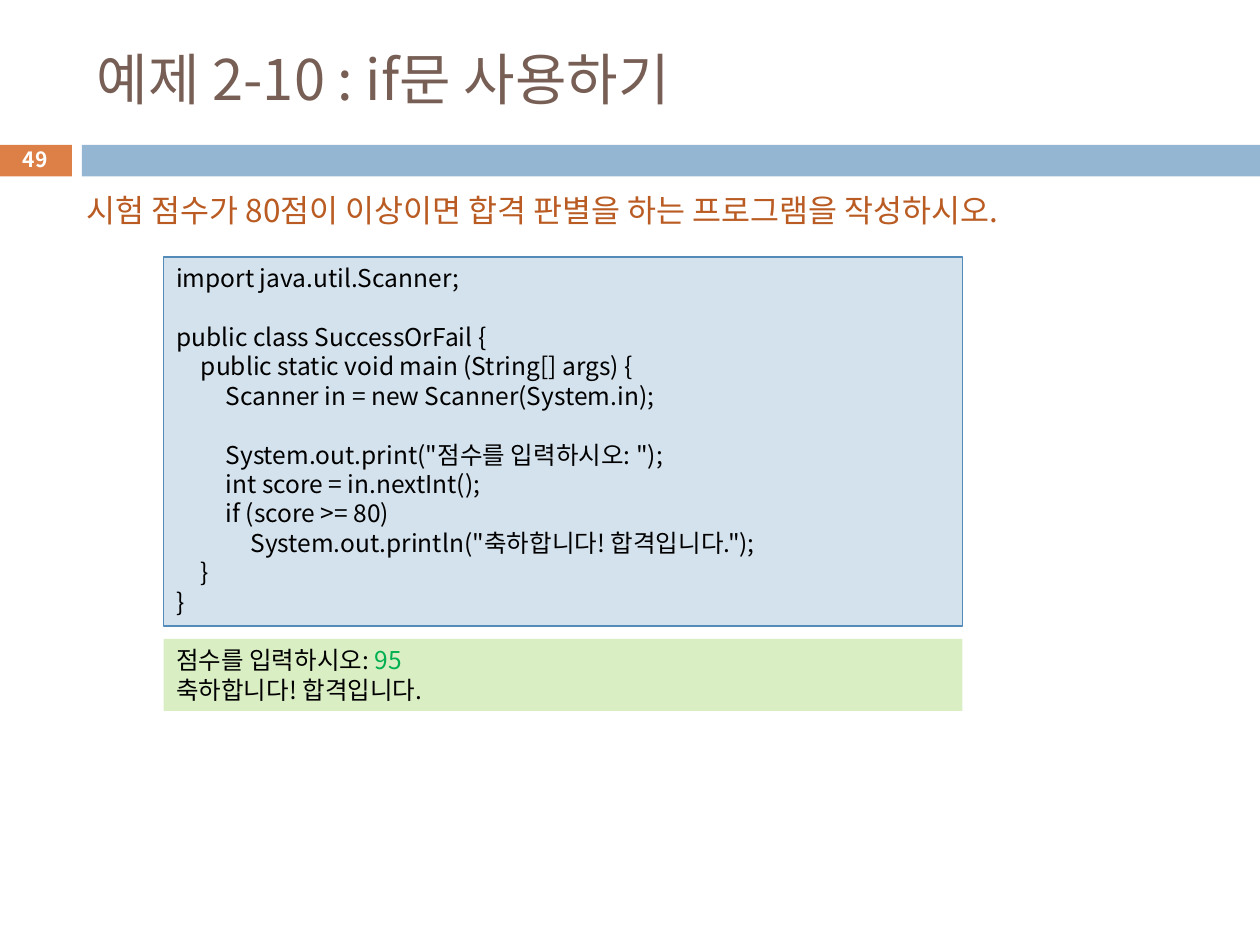
"""Build the slide for example 2-10, using an if statement."""
import pptx
import pptx.util
import pptx.dml.color
import pptx.enum.shapes
import pptx.enum.text
import pptx.oxml.ns
from lxml import etree

Cm, Pt = pptx.util.Cm, pptx.util.Pt
ALIGN = pptx.enum.text.PP_ALIGN
ANCHOR = pptx.enum.text.MSO_ANCHOR
FONT = "Noto Sans CJK KR"
COLORS = {
    "orange": "DD8047", "blue": "94B6D2", "title": "775F55", "task": "B95B22",
    "code": "D4E2ED", "border": "558BB8", "output": "DAEEC4",
    "black": "000000", "input": "00B050", "white": "FFFFFF",
}
TITLE = "예제 2-10 : if문 사용하기"
TASK = "시험 점수가 80점이 이상이면 합격 판별을 하는 프로그램을 작성하시오."
PAGE_NUMBER = "49"
CODE = [
    "import java.util.Scanner;",
    "",
    "public class SuccessOrFail {",
    "\tpublic static void main (String[] args) {",
    "\t\tScanner in = new Scanner(System.in);",
    "",
    '\t\tSystem.out.print("점수를 입력하시오: ");',
    "\t\tint score = in.nextInt();",
    "\t\tif (score >= 80)",
    '\t\t\tSystem.out.println("축하합니다! 합격입니다.");',
    "\t}",
    "}",
]
OUTPUT = [
    [("점수를 입력하시오: ", "black"), ("95", "input")],
    [("축하합니다! 합격입니다.", "black")],
]
CODE_SIZE = 14
LINE = Pt(CODE_SIZE * 1.2)
TAB = Cm(0.5)

deck = pptx.Presentation()
deck.slide_width, deck.slide_height = Cm(25.4), Cm(19.05)
page = deck.slides.add_slide(deck.slide_layouts[6])


def color(name):
    return pptx.dml.color.RGBColor.from_string(COLORS[name])


def add_panel(left, top, width, height, fill, border=None):
    panel = page.shapes.add_shape(
        pptx.enum.shapes.MSO_SHAPE.RECTANGLE, Cm(left), Cm(top), Cm(width), Cm(height))
    panel.shadow.inherit = False
    panel.fill.solid()
    panel.fill.fore_color.rgb = color(fill)
    if border:
        panel.line.color.rgb = color(border)
        panel.line.width = Pt(0.75)
    else:
        panel.line.fill.background()
    return panel


def write(box, lines, size, anchor=ANCHOR.TOP, align=ALIGN.LEFT, bold=False, wrap=True):
    frame = box.text_frame
    frame.word_wrap = wrap
    frame.vertical_anchor = anchor
    paras = [frame.paragraphs[0]] + [frame.add_paragraph() for _ in lines[1:]]
    for para, spans in zip(paras, lines):
        para.alignment = align
        for text, ink in spans:
            span = para.add_run()
            span.text = text
            span.font.size, span.font.name, span.font.bold = Pt(size), FONT, bold
            span.font.color.rgb = color(ink)
            east_asian = etree.SubElement(
                span.font._element, pptx.oxml.ns.qn("a:ea"))
            east_asian.set("typeface", FONT)
    return paras


def add_text(left, top, width, height, text, ink, size, **options):
    box = page.shapes.add_textbox(Cm(left), Cm(top), Cm(width), Cm(height))
    write(box, [[(text, ink)]], size, **options)


def set_tabs(para, count):
    tabs = etree.SubElement(para._p.get_or_add_pPr(), pptx.oxml.ns.qn("a:tabLst"))
    for stop in range(1, count + 1):
        tab = etree.SubElement(tabs, pptx.oxml.ns.qn("a:tab"))
        tab.set("pos", str(TAB * stop))
        tab.set("algn", "l")


add_panel(-0.03, 2.92, 1.48, 0.64, "orange")
add_panel(1.65, 2.92, 23.75, 0.64, "blue")
add_text(1.7, 0.64, 22.66, 1.88, TITLE, "title", 32, anchor=ANCHOR.MIDDLE)

code_panel = add_panel(3.3, 5.18, 16.1, 7.44, "code", "border")
code_lines = [line for line in CODE if line]
code_paras = write(code_panel, [[(line, "black")] for line in code_lines], CODE_SIZE)
for para, line in zip(code_paras, code_lines):
    para.line_spacing = LINE
    if CODE.index(line) and not CODE[CODE.index(line) - 1]:
        para.space_before = LINE
    set_tabs(para, 3)

add_text(1.5, 3.73, 21.03, 1.02, TASK, "task", 18, wrap=False)

output_panel = add_panel(3.3, 12.88, 16.1, 1.45, "output")
for para in write(output_panel, OUTPUT, CODE_SIZE):
    para.line_spacing = LINE

add_text(-0.03, 2.87, 1.48, 0.69, PAGE_NUMBER, "white", 12,
         anchor=ANCHOR.MIDDLE, align=ALIGN.CENTER, bold=True)

deck.save("out.pptx")
